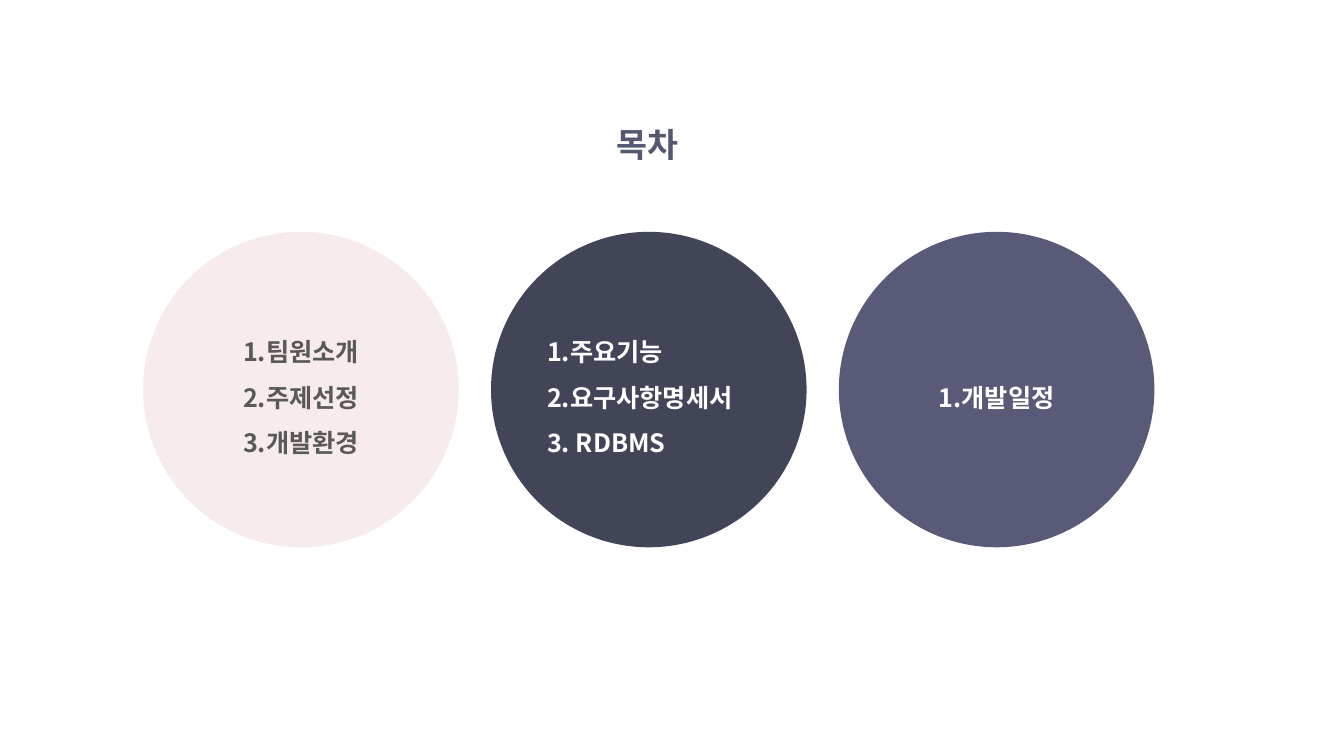
"""Build a table-of-contents slide with three circles of topics."""
import pptx
import pptx.util
import pptx.dml.color
import pptx.enum.shapes
import pptx.enum.text
import pptx.oxml.ns
import lxml.etree

COLORS = {
    "title": "545871", "gray": "595959", "white": "FFFFFF",
    "pink": "F7EBEB", "navy": "424558", "violet": "595A77",
}
FONT = "Noto Sans CJK KR"
LEFT, TOP, DIAMETER, PITCH = 1.42, 2.3, 3.13, 3.45
Inches = pptx.util.Inches
ALIGN = pptx.enum.text.PP_ALIGN
ANCHOR = pptx.enum.text.MSO_ANCHOR


def rgb(name):
    return pptx.dml.color.RGBColor.from_string(COLORS[name])


def write(tf, lines, size, color, align):
    tf.word_wrap = True
    tf.text = "\n".join(lines)
    for p in tf.paragraphs:
        p.alignment = align
        p.line_spacing = 1.5
        p.font.size = pptx.util.Pt(size)
        p.font.bold = True
        p.font.name = FONT
        p.font.color.rgb = rgb(color)
        latin = next(p._p.iter(pptx.oxml.ns.qn("a:latin")))
        ea = lxml.etree.Element(pptx.oxml.ns.qn("a:ea"), typeface=FONT)
        latin.addnext(ea)


prs = pptx.Presentation()
prs.slide_width, prs.slide_height = Inches(13.33), Inches(7.5)
s = prs.slides.add_slide(prs.slide_layouts[5])

title = s.shapes.title
title.left, title.top = Inches(3.41), Inches(0.98)
title.width, title.height = Inches(6.03), Inches(0.63)
title.text_frame.auto_size = pptx.enum.text.MSO_AUTO_SIZE.NONE
title.text_frame.vertical_anchor = ANCHOR.TOP
write(title.text_frame, ["목차"], 24, "title", ALIGN.CENTER)

circles = [
    ("pink", "gray", ALIGN.CENTER, ["1.팀원소개", "2.주제선정", "3.개발환경"]),
    ("navy", "white", ALIGN.LEFT, ["1.주요기능", "2.요구사항명세서", "3. RDBMS"]),
    ("violet", "white", ALIGN.CENTER, ["1.개발일정"]),
]
for col, (fill, color, align, topics) in enumerate(circles):
    sp = s.shapes.add_shape(
        pptx.enum.shapes.MSO_SHAPE.OVAL, Inches(LEFT + col * PITCH),
        Inches(TOP), Inches(DIAMETER), Inches(DIAMETER))
    sp.shadow.inherit = False
    sp.fill.solid()
    sp.fill.fore_color.rgb = rgb(fill)
    sp.line.fill.background()
    sp.text_frame.vertical_anchor = ANCHOR.MIDDLE
    write(sp.text_frame, topics, 18, color, align)

prs.save("out.pptx")
